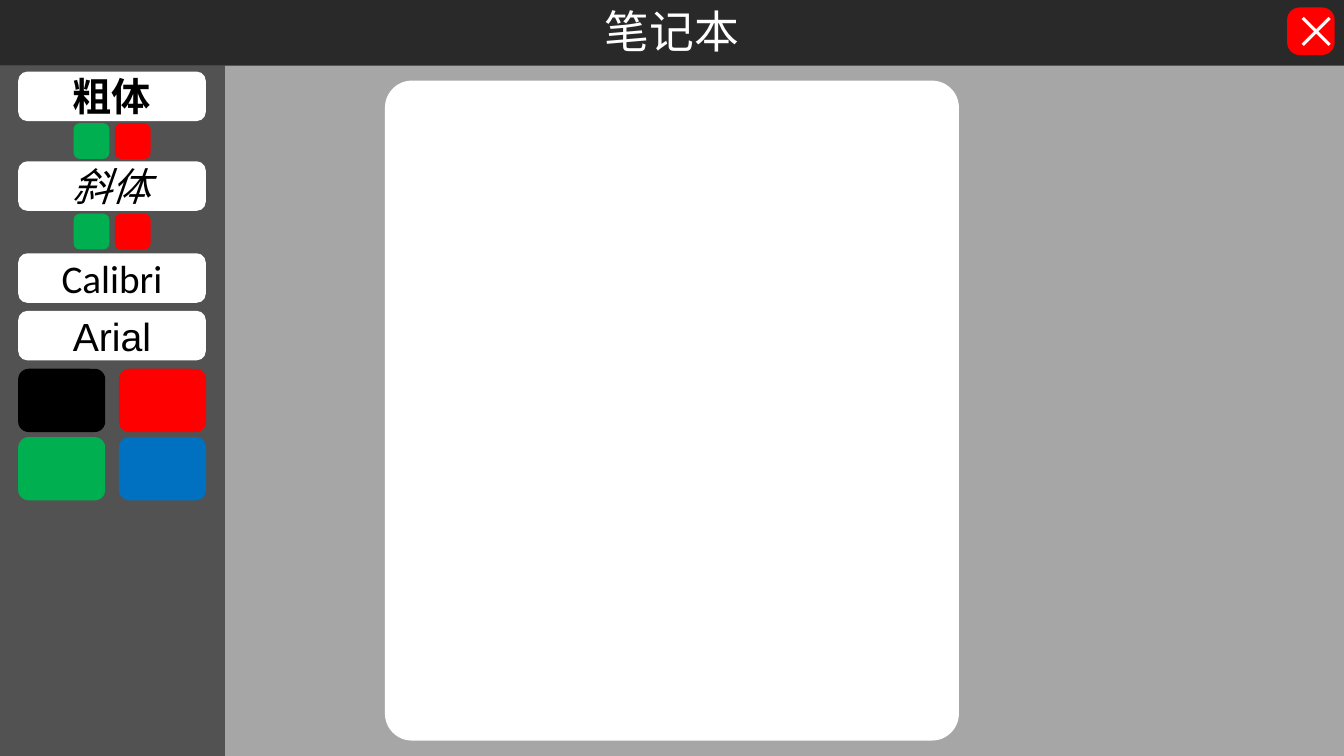
"""Build a notebook app screen with a format sidebar and a blank sheet."""
from lxml.etree import SubElement
from pptx import Presentation
from pptx.dml.color import RGBColor
from pptx.enum.shapes import MSO_SHAPE
from pptx.enum.text import MSO_ANCHOR, MSO_AUTO_SIZE, PP_ALIGN
from pptx.oxml.ns import qn
from pptx.util import Pt

WIDTH, HEIGHT, BAR, SIDE = 960, 540, 46.8, 160.6
BLACK, WHITE, RED, GREEN, BLUE = "000000", "FFFFFF", "FF0000", "00B050", "0070C0"
TITLE = "笔记本"
BUTTONS = [
    ("粗体", 51.1, "Calibri", True, False),
    ("斜体", 115.2, "Calibri", False, True),
    ("Calibri", 180.9, "Calibri", False, False),
    ("Arial", 222, "Arial", False, False),
]
TOGGLES = [(82.1, RED), (52.6, GREEN)]
TOGGLE_TOPS = [88, 152.7]
COLORS = [[BLACK, RED], [GREEN, BLUE]]
LEFT = 13


def paint(fill, color):
    fill.solid()
    fill.fore_color.rgb = RGBColor.from_string(color)


def box(slide, left, top, width, height, color, round=0.1667, alpha=None):
    shape = slide.shapes.add_shape(
        MSO_SHAPE.ROUNDED_RECTANGLE, Pt(left), Pt(top), Pt(width), Pt(height))
    shape.adjustments[0] = round
    shape.shadow.inherit = False
    shape.line.fill.background()
    paint(shape.fill, color)
    if alpha:
        tone = shape.fill._xPr.find(".//" + qn("a:srgbClr"))
        SubElement(tone, qn("a:alpha")).set("val", str(alpha * 1000))
    return shape


def write(shape, text, size, color, font="Calibri", bold=False, italic=False):
    para = shape.text_frame.paragraphs[0]
    para.alignment = PP_ALIGN.CENTER
    run = para.add_run()
    run.text = text
    run.font.size = Pt(size)
    run.font.name = font
    run.font.bold = bold
    run.font.italic = italic
    paint(run.font.fill, color)


def header(slide):
    box(slide, 0, 0, WIDTH, BAR, BLACK, 0, 75)
    title = slide.shapes.add_textbox(Pt(312), Pt(-0.6), Pt(336), Pt(46))
    title.text_frame.word_wrap = True
    title.text_frame.auto_size = MSO_AUTO_SIZE.SHAPE_TO_FIT_TEXT
    write(title, TITLE, 32, WHITE)
    close = box(slide, 919.4, 5.3, 34, 34, RED, 0.262)
    close.text_frame.vertical_anchor = MSO_ANCHOR.MIDDLE
    write(close, "⨉", 28, WHITE)


def sidebar(slide):
    box(slide, 0, BAR, SIDE, HEIGHT - BAR, BLACK, 0, 50)
    for text, top, font, bold, italic in BUTTONS:
        button = box(slide, LEFT, top, 134, 35.4, WHITE, 0.185)
        button.text_frame.vertical_anchor = MSO_ANCHOR.MIDDLE
        write(button, text, 28, BLACK, font, bold, italic)
    for top in TOGGLE_TOPS:
        for left, color in TOGGLES:
            box(slide, left, top, 25.5, 25.5, color)
    for row, colors in enumerate(COLORS):
        for col, color in enumerate(colors):
            box(slide, LEFT + 72 * col, 263.4 + 48.8 * row, 62.2, 45.2, color)


def main():
    deck = Presentation()
    deck.slide_width, deck.slide_height = Pt(WIDTH), Pt(HEIGHT)
    slide = deck.slides.add_slide(deck.slide_layouts[6])
    paint(slide.background.fill, "A6A6A6")
    header(slide)
    box(slide, 275, 57.6, 410, 471.4, WHITE, 0.047)
    sidebar(slide)
    deck.save("out.pptx")


if __name__ == "__main__":
    main()
